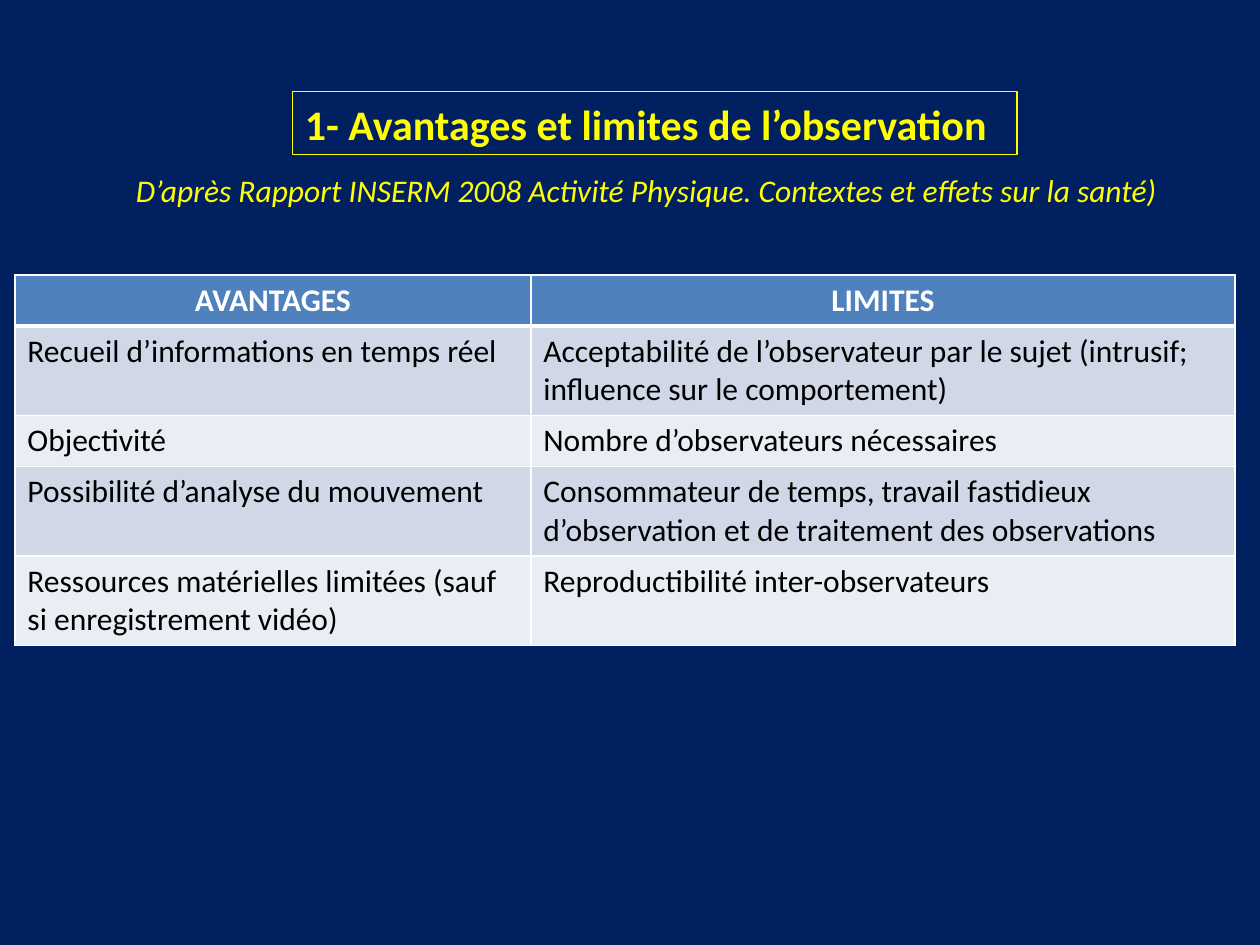
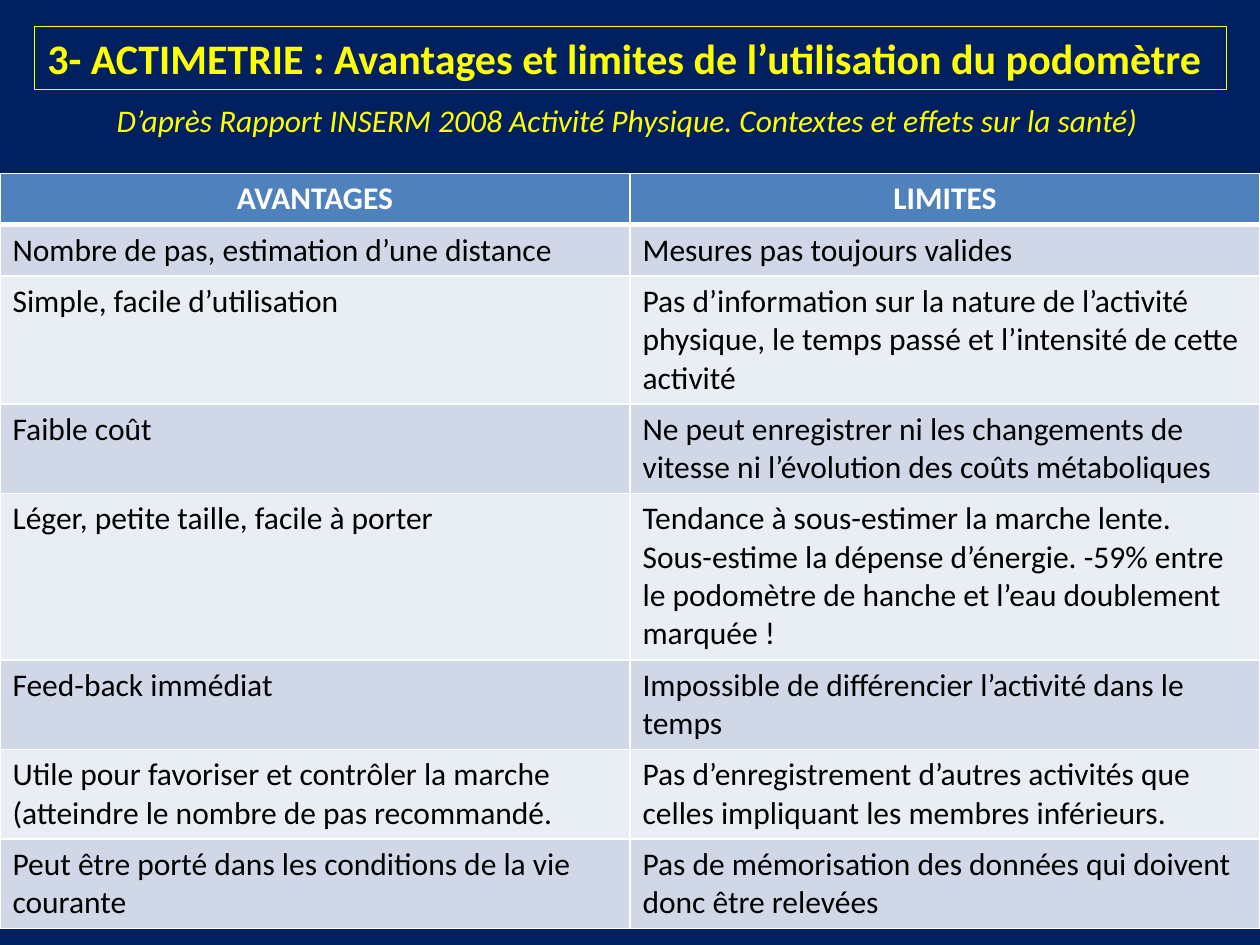
from lxml import etree
from pptx import Presentation
from pptx.dml.color import RGBColor
from pptx.enum.text import MSO_ANCHOR, MSO_AUTO_SIZE, PP_ALIGN
from pptx.oxml.ns import qn
from pptx.util import Cm, Pt

LEFT = PP_ALIGN.LEFT
CENTER = PP_ALIGN.CENTER
TOP = MSO_ANCHOR.TOP
MIDDLE = MSO_ANCHOR.MIDDLE
NO_AUTOFIT = MSO_AUTO_SIZE.NONE

FONT = "Calibri"
NAVY = "002060"
YELLOW = "FFFF00"
WHITE = "FFFFFF"
BLACK = "000000"
HEADER_BLUE = "4F81BD"
BANDS = ("D0D8E8", "E9EDF4")

TITLE_ONLY = 5
LINE_HEIGHT = 0.76
ROW_PADDING = 0.26
HEADINGS = ("AVANTAGES", "LIMITES", 1)
SOURCE = "D’après Rapport INSERM 2008 Activité Physique. Contextes et effets sur la santé)"

OBSERVATION_ROWS = [
    ("Recueil d’informations en temps réel",
     "Acceptabilité de l’observateur par le sujet (intrusif; influence sur le comportement)", 2),
    ("Objectivité", "Nombre d’observateurs nécessaires", 1),
    ("Possibilité d’analyse du mouvement",
     "Consommateur de temps, travail fastidieux d’observation et de traitement des observations", 2),
    ("Ressources matérielles limitées (sauf si enregistrement vidéo)",
     "Reproductibilité inter-observateurs", 2),
]

PEDOMETER_ROWS = [
    ("Nombre de pas, estimation d’une distance", "Mesures pas toujours valides", 1),
    ("Simple, facile d’utilisation",
     "Pas d’information sur la nature de l’activité physique, le temps passé "
     "et l’intensité de cette activité", 3),
    ("Faible coût",
     "Ne peut enregistrer ni les changements de vitesse ni l’évolution des coûts métaboliques", 2),
    ("Léger, petite taille, facile à porter",
     "Tendance à sous-estimer la marche lente.\n"
     "Sous-estime la dépense d’énergie. -59% entre le podomètre de hanche "
     "et l’eau doublement marquée !", 4),
    ("Feed-back immédiat", "Impossible de différencier l’activité dans le temps", 2),
    ("Utile pour favoriser et contrôler la marche (atteindre le nombre de pas recommandé.",
     "Pas d’enregistrement d’autres activités que celles impliquant les membres inférieurs.", 2),
    ("Peut être porté dans les conditions de la vie courante",
     "Pas de mémorisation des données qui doivent donc être relevées", 2),
]


def color(hex_code):
    return RGBColor.from_string(hex_code)


def write_text(frame, text, size=18, hex_code=BLACK, bold=False, italic=False,
               align=LEFT, anchor=TOP):
    frame.word_wrap = True
    frame.vertical_anchor = anchor
    for index, line in enumerate(text.split("\n")):
        paragraph = frame.paragraphs[0] if index == 0 else frame.add_paragraph()
        paragraph.alignment = align
        run = paragraph.add_run()
        run.text = line
        run.font.name = FONT
        run.font.size = Pt(size)
        run.font.bold = bold
        run.font.italic = italic
        run.font.color.rgb = color(hex_code)


def add_borders(cell, top, bottom):
    properties = cell._tc.get_or_add_tcPr()
    for side, width in (("L", 1), ("R", 1), ("T", top), ("B", bottom)):
        line = etree.SubElement(properties, qn(f"a:ln{side}"), w=str(Pt(width)))
        fill = etree.SubElement(line, qn("a:solidFill"))
        etree.SubElement(fill, qn("a:srgbClr"), val=WHITE)


def add_heading(slide, text, box):
    title = slide.shapes.title
    title.left, title.top, title.width, title.height = map(Cm, box)
    title.line.color.rgb = color(YELLOW)
    title.line.width = Pt(0.75)
    write_text(title.text_frame, text, size=24, hex_code=YELLOW, bold=True, anchor=MIDDLE)
    title.text_frame.auto_size = NO_AUTOFIT


def add_source(slide, box):
    shape = slide.shapes.add_textbox(*map(Cm, box))
    write_text(shape.text_frame, SOURCE, hex_code=YELLOW, italic=True)


def add_comparison(slide, rows, left, top, column_widths):
    rows = [HEADINGS, *rows]
    heights = [ROW_PADDING + LINE_HEIGHT * lines for *_, lines in rows]
    table = slide.shapes.add_table(
        len(rows), len(column_widths), Cm(left), Cm(top),
        Cm(sum(column_widths)), Cm(sum(heights))).table
    for column, width in zip(table.columns, column_widths):
        column.width = Cm(width)
    for row_index, (*texts, _) in enumerate(rows):
        table.rows[row_index].height = Cm(heights[row_index])
        is_header = row_index == 0
        for column_index, text in enumerate(texts):
            cell = table.cell(row_index, column_index)
            add_borders(cell, top=3 if row_index == 1 else 1, bottom=3 if is_header else 1)
            cell.fill.solid()
            cell.fill.fore_color.rgb = color(
                HEADER_BLUE if is_header else BANDS[(row_index - 1) % 2])
            write_text(cell.text_frame, text, bold=is_header,
                       hex_code=WHITE if is_header else BLACK,
                       align=CENTER if is_header else LEFT)


def add_comparison_slide(presentation, title, title_box, source_box, rows,
                         table_left, table_top, column_widths):
    slide = presentation.slides.add_slide(presentation.slide_layouts[TITLE_ONLY])
    add_comparison(slide, rows, table_left, table_top, column_widths)
    add_heading(slide, title, title_box)
    add_source(slide, source_box)


def main():
    presentation = Presentation()
    presentation.slide_width = Cm(25.4)
    presentation.slide_height = Cm(19.05)
    background = presentation.slide_master.background.fill
    background.solid()
    background.fore_color.rgb = color(NAVY)

    add_comparison_slide(
        presentation, "1- Avantages et limites de l’observation",
        title_box=(5.89, 1.85, 14.61, 1.27), source_box=(2.49, 3.33, 21.41, 1.03),
        rows=OBSERVATION_ROWS, table_left=0.3, table_top=5.54, column_widths=(10.4, 14.2))
    add_comparison_slide(
        presentation, "3- ACTIMETRIE : Avantages et limites de l’utilisation du podomètre",
        title_box=(0.7, 0.53, 24.03, 1.27), source_box=(2.1, 1.91, 21.41, 1.03),
        rows=PEDOMETER_ROWS, table_left=0, table_top=3.5, column_widths=(12.7, 12.7))
    presentation.save("out.pptx")


if __name__ == "__main__":
    main()
